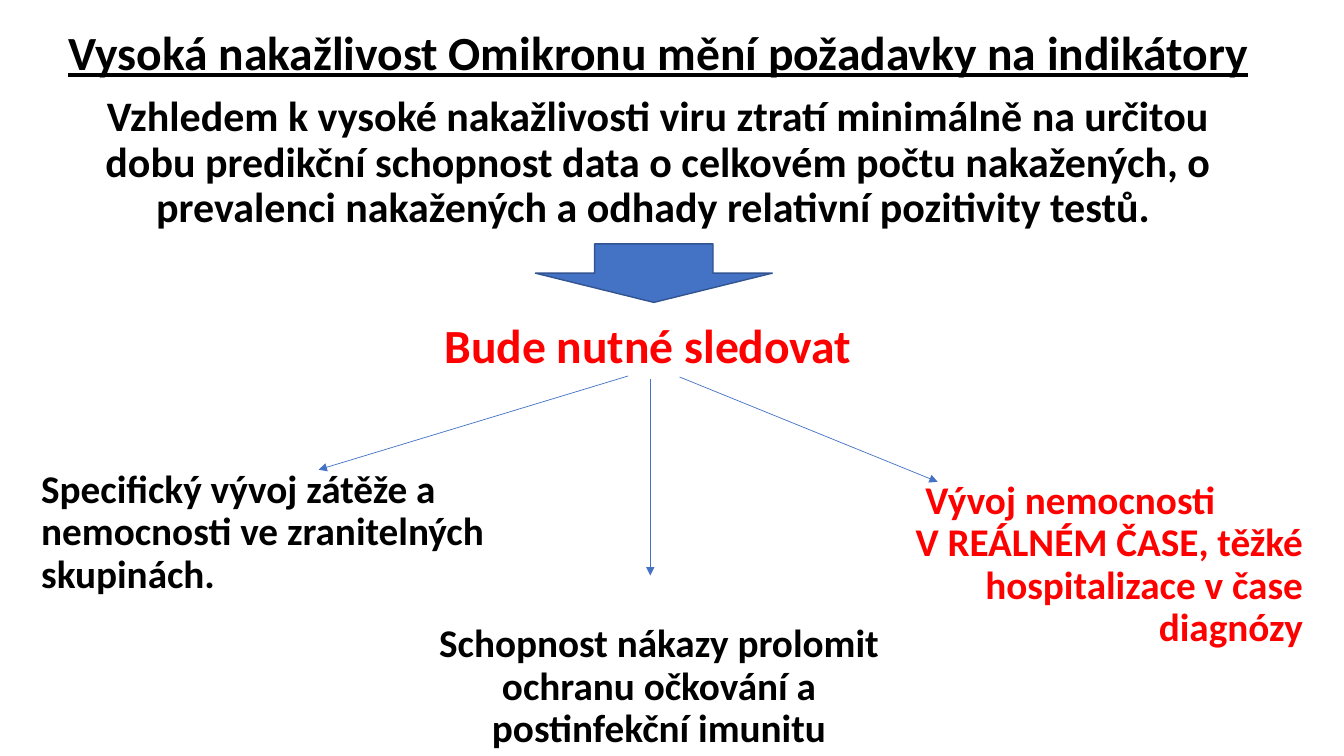
from dataclasses import dataclass
from lxml.etree import SubElement
from pptx import Presentation
from pptx.dml.color import RGBColor
from pptx.enum.shapes import MSO_CONNECTOR, MSO_SHAPE
from pptx.enum.text import MSO_ANCHOR, MSO_AUTO_SIZE, PP_ALIGN
from pptx.oxml.ns import qn
from pptx.util import Inches, Pt


@dataclass(frozen=True)
class Theme:
    font: str = "Calibri"
    black: RGBColor = RGBColor(0, 0, 0)
    red: RGBColor = RGBColor(255, 0, 0)
    blue: RGBColor = RGBColor.from_string("4472C4")
    edge: RGBColor = RGBColor.from_string("325491")
    head: int = 34
    lead: int = 30
    body: int = 28


class Board:
    def __init__(self, slide, theme):
        self.slide = slide
        self.theme = theme

    def style(self, box, text, size, color, align):
        frame = box.text_frame
        frame.word_wrap = True
        frame.auto_size = MSO_AUTO_SIZE.NONE
        frame.vertical_anchor = MSO_ANCHOR.TOP
        frame.margin_left = frame.margin_right = Inches(0.1)
        frame.margin_top = frame.margin_bottom = Inches(0.05)
        frame.text = text
        for para in frame.paragraphs:
            para.alignment = align
            para.line_spacing = 0.9
            para.space_before = Pt(0)
            for run in para.runs:
                font = run.font
                font.name = self.theme.font
                font.size = Pt(size)
                font.bold = True
                font.color.rgb = color
        return frame

    def title(self, area, text):
        box = self.slide.shapes.title
        box.left, box.top, box.width, box.height = map(Inches, area)
        frame = self.style(box, text, self.theme.head, self.theme.black, PP_ALIGN.CENTER)
        frame.paragraphs[0].runs[0].font.underline = True

    def text(self, area, text, size, color, align):
        box = self.slide.shapes.add_textbox(*map(Inches, area))
        return self.style(box, text, size, color, align)

    def block(self, area):
        shape = self.slide.shapes.add_shape(MSO_SHAPE.DOWN_ARROW, *map(Inches, area))
        shape.shadow.inherit = False
        shape.fill.solid()
        shape.fill.fore_color.rgb = self.theme.blue
        shape.line.color.rgb = self.theme.edge
        shape.line.width = Pt(1)

    def arrow(self, start, end):
        link = self.slide.shapes.add_connector(
            MSO_CONNECTOR.STRAIGHT, *map(Inches, start + end))
        link.line.color.rgb = self.theme.blue
        link.line.width = Pt(0.5)
        props = link._element.spPr
        SubElement(props.find(qn("a:ln")), qn("a:tailEnd"), type="triangle")
        SubElement(props, qn("a:effectLst"))


def main():
    deck = Presentation()
    deck.slide_width, deck.slide_height = Inches(13.33), Inches(7.5)
    theme = Theme()
    board = Board(deck.slides.add_slide(deck.slide_layouts[5]), theme)

    board.title((0.31, 0.24, 12.44, 0.6),
                "Vysoká nakažlivost Omikronu mění požadavky na indikátory")
    board.text((0.51, 0.9, 12.04, 1.46),
               "Vzhledem k vysoké nakažlivosti viru ztratí minimálně na určitou dobu "
               "predikční schopnost data o celkovém počtu nakažených, o prevalenci "
               "nakažených a odhady relativní pozitivity testů. ",
               theme.lead, theme.black, PP_ALIGN.CENTER)
    board.block((5.31, 2.42, 2.35, 0.58))
    board.text((0.26, 3.15, 12.44, 0.6), "Bude nutné sledovat ",
               theme.head, theme.red, PP_ALIGN.CENTER)

    for start, end in (((6.23, 3.73), (3.16, 4.66)),
                       ((6.45, 3.76), (6.45, 5.71)),
                       ((6.74, 3.74), (9.3, 4.78))):
        board.arrow(start, end)

    board.text((0.31, 4.61, 4.91, 1.46),
               "Specifický vývoj zátěže a nemocnosti ve zranitelných skupinách.",
               theme.body, theme.black, PP_ALIGN.LEFT)
    board.text((4.08, 6.14, 4.91, 1.46),
               "Schopnost nákazy prolomit ochranu očkování a postinfekční imunitu",
               theme.body, theme.black, PP_ALIGN.CENTER)
    trend = board.text((8.82, 4.72, 4.2, 1.46),
                       "Vývoj nemocnosti\nV REÁLNÉM ČASE, těžké hospitalizace v čase diagnózy",
                       theme.body, theme.red, PP_ALIGN.RIGHT)
    first = trend.paragraphs[0]
    first.alignment = PP_ALIGN.LEFT
    first._p.get_or_add_pPr().set("marL", str(Inches(0.26)))

    deck.save("out.pptx")


if __name__ == "__main__":
    main()
